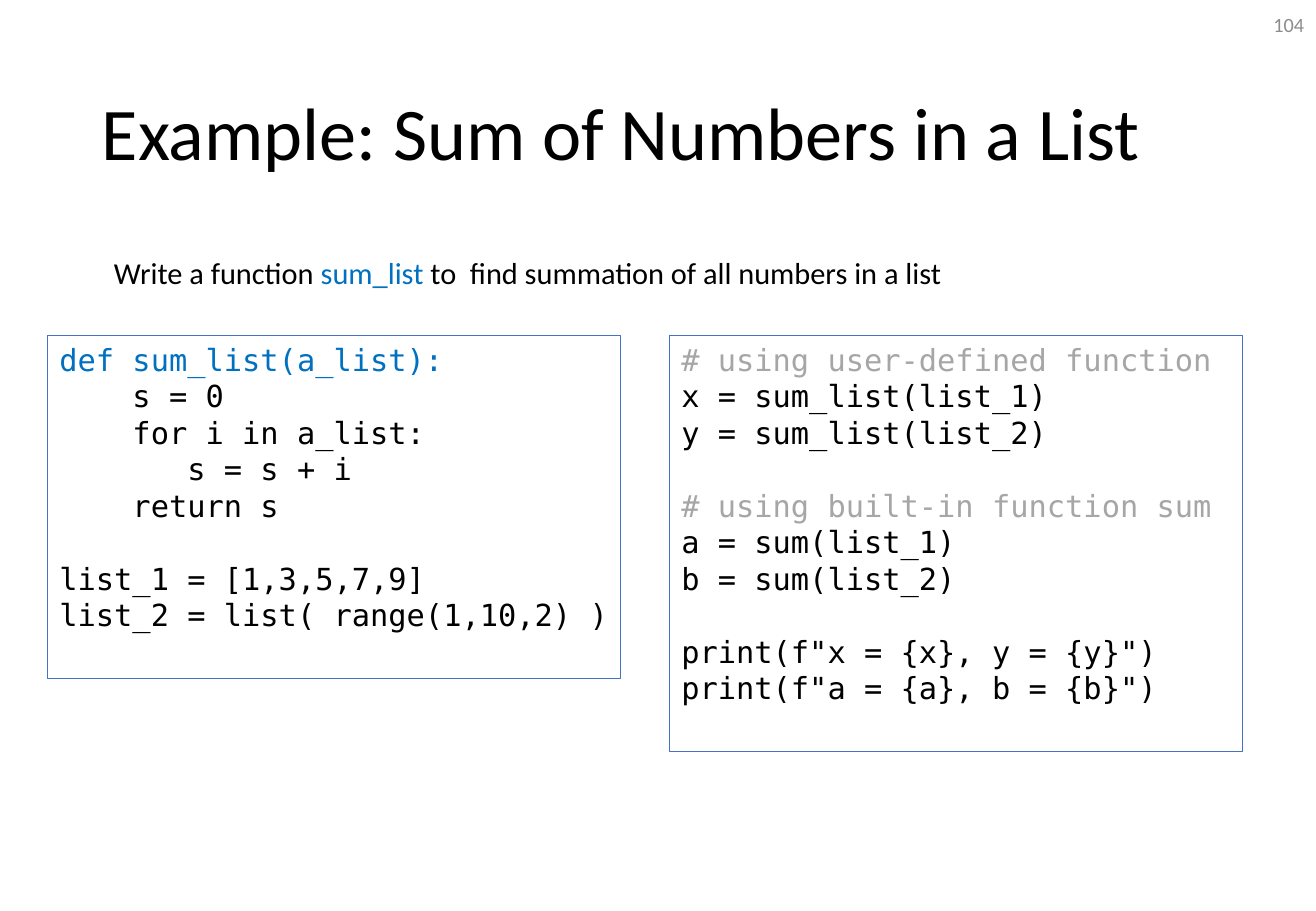
from dataclasses import dataclass

import pptx
import pptx.dml.color
import pptx.enum.shapes
import pptx.enum.text
import pptx.slide
import pptx.text.text
import pptx.util

Pt = pptx.util.Pt
RGB = pptx.dml.color.RGBColor
Align = pptx.enum.text.PP_ALIGN
Anchor = pptx.enum.text.MSO_ANCHOR

BLACK = RGB(0x00, 0x00, 0x00)
BLUE = RGB(0x00, 0x70, 0xC0)
GREY = RGB(0xA6, 0xA6, 0xA6)
PALE = RGB(0x8C, 0x8C, 0x8C)
EDGE = RGB(0x44, 0x72, 0xC4)
SANS = "Calibri"
MONO = "DejaVu Sans Mono"
LINE = 21.6  # height of one line of code


@dataclass
class Label:
    left: float
    top: float
    width: float
    height: float
    size: float
    words: list[tuple[str, RGB]]
    align: Align = Align.LEFT
    anchor: Anchor = Anchor.TOP
    wrap: bool = True
    pitch: float = 1.0


@dataclass
class Code:
    left: float
    height: float
    text: str


LABELS = [
    Label(53.28, 28.8, 672.48, 104.4, 44,
          [("Example: Sum of Numbers in a List", BLACK)],
          anchor=Anchor.MIDDLE, pitch=0.9),
    Label(604.8, 0, 175.2, 28.8, 12, [("104", PALE)],
          align=Align.RIGHT, anchor=Anchor.MIDDLE),
    Label(60.48, 146.88, 528.48, 28.8, 18,
          [("Write a function ", BLACK), ("sum_list", BLUE),
           (" to  find summation of all numbers in a list", BLACK)],
          wrap=False),
]

CODES = [
    Code(28.08, 203.76, """def sum_list(a_list):
    s = 0
    for i in a_list:
       s = s + i
    return s

list_1 = [1,3,5,7,9]
list_2 = list( range(1,10,2) )"""),
    Code(396.72, 246.96, """# using user-defined function
x = sum_list(list_1)
y = sum_list(list_2)

# using built-in function sum
a = sum(list_1)
b = sum(list_2)

print(f"x = {x}, y = {y}")
print(f"a = {a}, b = {b}")"""),
]


def style(run: pptx.text.text._Run, face: str, size: float, tint: RGB) -> None:
    run.font.name = face
    run.font.size = Pt(size)
    run.font.color.rgb = tint


def add_label(slide: pptx.slide.Slide, label: Label) -> None:
    box = slide.shapes.add_textbox(
        Pt(label.left), Pt(label.top), Pt(label.width), Pt(label.height))
    frame = box.text_frame
    frame.word_wrap = label.wrap
    frame.vertical_anchor = label.anchor
    para = frame.paragraphs[0]
    para.alignment = label.align
    para.line_spacing = label.pitch
    for text, tint in label.words:
        run = para.add_run()
        run.text = text
        style(run, SANS, label.size, tint)


def get_tint(text: str) -> RGB:
    if text.startswith("#"):
        return GREY
    return BLUE if text.startswith("def") else BLACK


def add_code(slide: pptx.slide.Slide, code: Code) -> None:
    """Draw a framed listing; a blank line becomes space before the next block."""
    box = slide.shapes.add_shape(
        pptx.enum.shapes.MSO_SHAPE.RECTANGLE,
        Pt(code.left), Pt(198.72), Pt(339.84), Pt(code.height))
    box.shadow.inherit = False
    box.fill.background()
    box.line.color.rgb = EDGE
    box.line.width = Pt(0.75)
    frame = box.text_frame
    frame.word_wrap = True
    frame.vertical_anchor = Anchor.TOP
    blocks = [block.split("\n") for block in code.text.split("\n\n")]
    frame.text = "\n".join(line for block in blocks for line in block)
    paras = iter(frame.paragraphs)
    for index, block in enumerate(blocks):
        for row, line in enumerate(block):
            para = next(paras)
            para.alignment = Align.LEFT
            para.line_spacing = Pt(LINE)
            if index and not row:
                para.space_before = Pt(LINE)
            style(para.runs[0], MONO, 18, get_tint(line))


def main() -> None:
    deck = pptx.Presentation()
    deck.slide_width = Pt(780)
    deck.slide_height = Pt(540)
    slide = deck.slides.add_slide(deck.slide_layouts[6])
    for label in LABELS:
        add_label(slide, label)
    for code in CODES:
        add_code(slide, code)
    deck.save("out.pptx")


if __name__ == "__main__":
    main()
